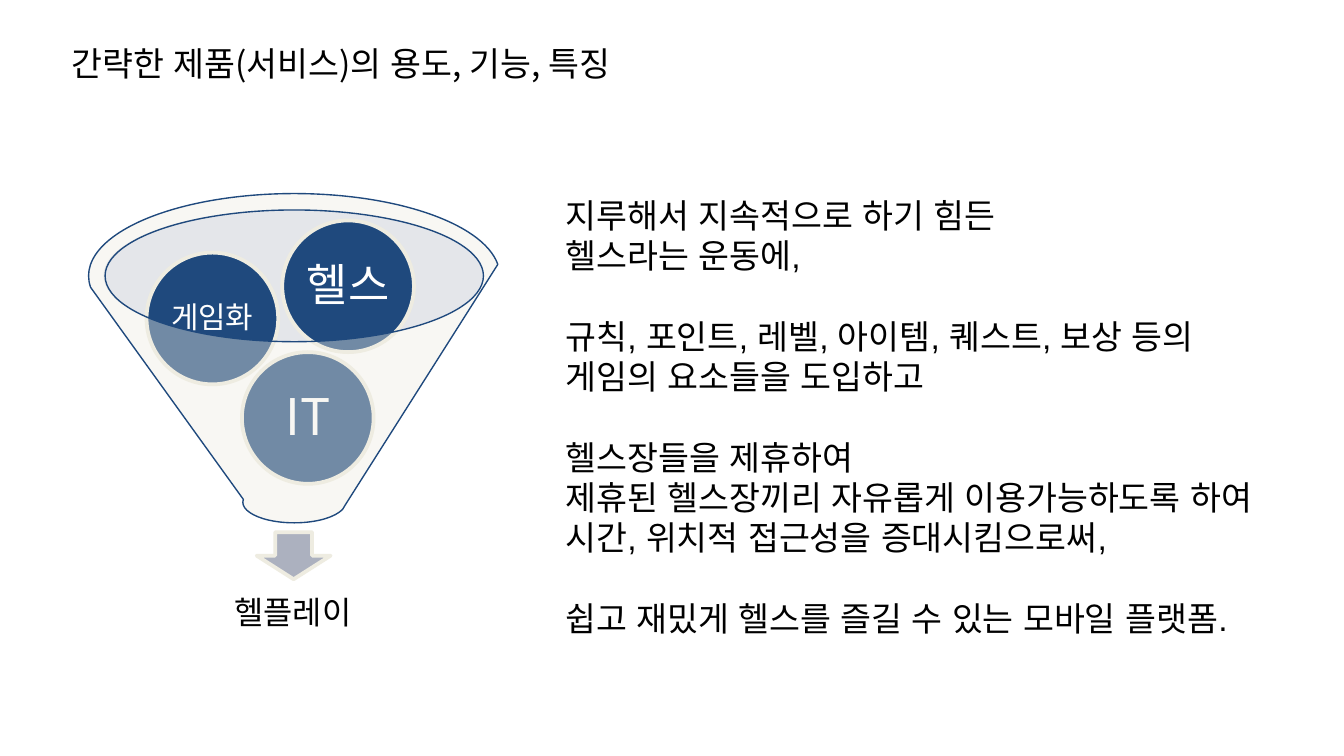
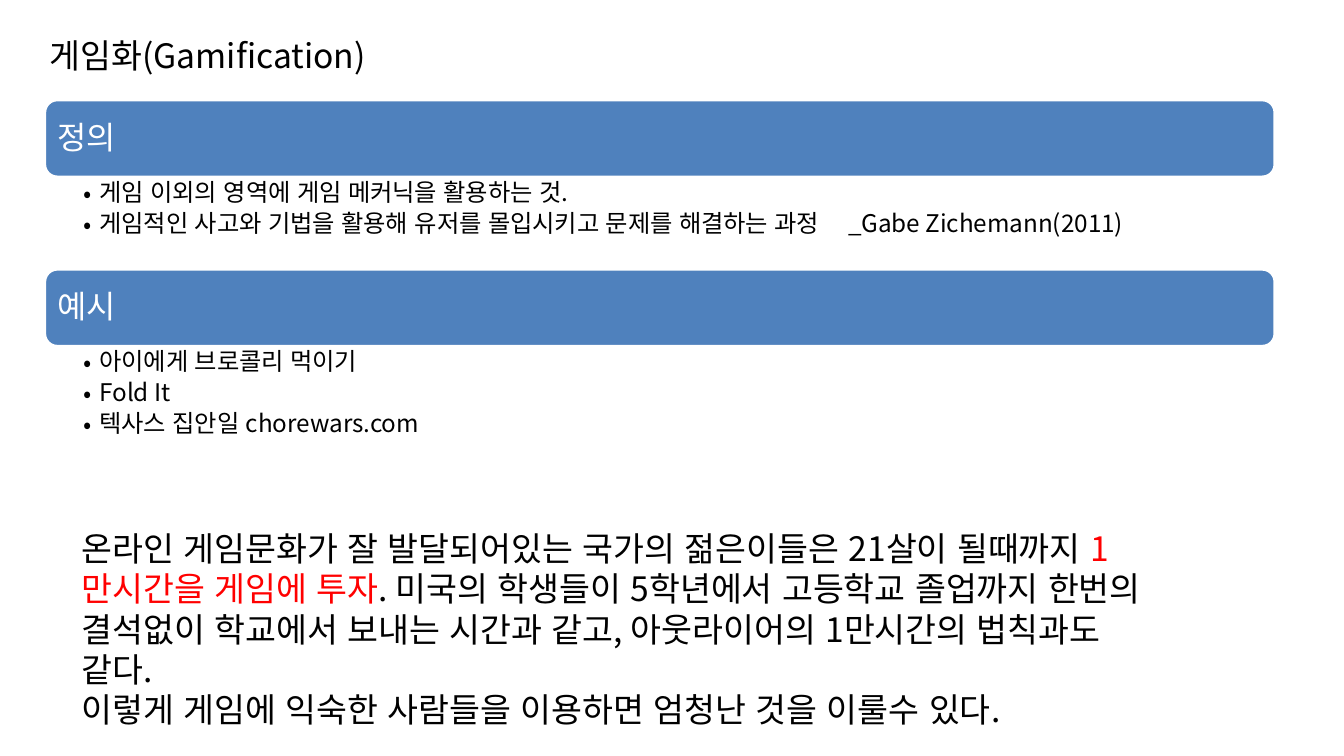
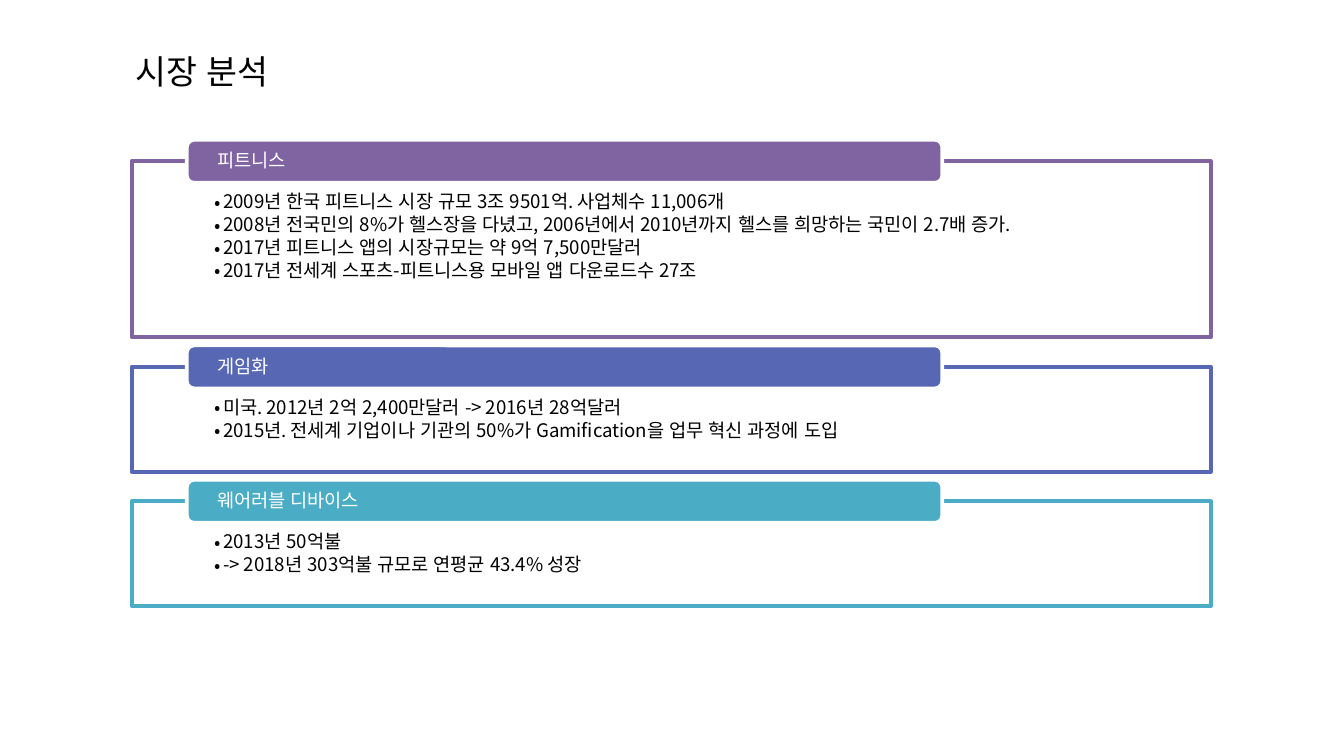
import pptx
import pptx.dml.color
import pptx.enum.shapes
import pptx.enum.text
import pptx.oxml.ns
import pptx.util
from lxml import etree

Inches = pptx.util.Inches
Pt = pptx.util.Pt
SHAPE = pptx.enum.shapes.MSO_SHAPE
ALIGN = pptx.enum.text.PP_ALIGN
ANCHOR = pptx.enum.text.MSO_ANCHOR
qn = pptx.oxml.ns.qn

COLORS = {
    "black": "000000", "white": "FFFFFF", "red": "FF0000",
    "navy": "1F497D", "cream": "EEECE1", "rim": "BDC1CC", "arrow": "ACB1BF",
    "blue": "4F81BD", "purple": "8064A2", "indigo": "5767B4", "teal": "4BACC6",
}
FONT = "Noto Sans CJK KR"
ASIAN_FONT = "Arial"
LINE_HEIGHT = 1.2   # line pitch as a share of the font size
TIGHT = 0.9         # line spacing inside diagrams
BOX_INSETS = (0.1, 0.05, 0.1, 0.05)


def rgb(name):
    return pptx.dml.color.RGBColor.from_string(COLORS[name])


def set_frame(frame, insets, anchor=ANCHOR.TOP):
    frame.word_wrap = True
    frame.auto_size = pptx.enum.text.MSO_AUTO_SIZE.NONE
    frame.vertical_anchor = anchor
    (frame.margin_left, frame.margin_top,
     frame.margin_right, frame.margin_bottom) = map(Inches, insets)


def format_para(para, size, color="black", align=ALIGN.LEFT, font=FONT,
                spacing=1, after=0, before=0):
    """Set line pitch, gaps (shares of the font size) and font."""
    para.alignment = align
    para.line_spacing = Pt(round(size * LINE_HEIGHT * spacing, 2))
    para.space_before = Pt(round(size * before, 2))
    para.space_after = Pt(round(size * after, 2))
    para.font.size = Pt(size)
    para.font.name = font
    para.font.color.rgb = rgb(color)
    defaults = para._p.pPr.find(qn("a:defRPr"))
    etree.SubElement(defaults, qn("a:ea"), typeface=ASIAN_FONT)


def next_para(frame, index):
    return frame.paragraphs[0] if index == 0 else frame.add_paragraph()


def add_bullets(frame, lines, size, indent, after, tab=None):
    for index, line in enumerate(lines):
        para = next_para(frame, index)
        para.text = line
        para.level = 1
        props = para._p.get_or_add_pPr()
        props.set("marL", str(Inches(indent)))
        props.set("indent", str(-Inches(indent)))
        etree.SubElement(props, qn("a:buFont"), typeface=FONT)
        etree.SubElement(props, qn("a:buChar"), char="•")
        if tab and "\t" in line:
            stops = etree.SubElement(props, qn("a:tabLst"))
            etree.SubElement(stops, qn("a:tab"), pos=str(Inches(tab)), algn="l")
        format_para(para, size, spacing=TIGHT, after=after)


def add_shape(page, kind, box, fill, line=None, width=2, opacity=None):
    shape = page.shapes.add_shape(kind, *map(Inches, box))
    shape.shadow.inherit = False
    shape.fill.solid()
    shape.fill.fore_color.rgb = rgb(fill)
    if opacity:
        color = shape._element.spPr.find(qn("a:solidFill"))[0]
        etree.SubElement(color, qn("a:alpha"), val=str(opacity * 1000))
    if line:
        shape.line.color.rgb = rgb(line)
        shape.line.width = Pt(width)
    else:
        shape.line.fill.background()
    return shape


def add_text_box(page, box, insets=BOX_INSETS, anchor=ANCHOR.TOP):
    frame = page.shapes.add_textbox(*map(Inches, box)).text_frame
    set_frame(frame, insets, anchor)
    return frame


def write_label(frame, text, size, **style):
    para = frame.paragraphs[0]
    para.text = text
    format_para(para, size, spacing=TIGHT, **style)


def add_page(deck, title, left, top, width):
    page = deck.slides.add_slide(deck.slide_layouts[5])
    holder = page.shapes.title
    holder.left, holder.top = Inches(left), Inches(top)
    holder.width, holder.height = Inches(width), Inches(0.4)
    set_frame(holder.text_frame, BOX_INSETS)
    holder.text_frame.text = title
    format_para(holder.text_frame.paragraphs[0], 18)
    return page


# Funnel diagram with three balls, an arrow and the result
def add_funnel(page, left, top, balls, result):
    add_shape(page, SHAPE.OVAL, (left + 0.11, top + 0.12, 2.82, 0.98),
              "rim", opacity=40)
    add_shape(page, SHAPE.DOWN_ARROW, (left + 1.25, top + 2.52, 0.55, 0.35),
              "arrow", "cream")
    frame = add_text_box(page, (left + 0.21, top + 2.8, 2.62, 0.66),
                         (0.13,) * 4, ANCHOR.MIDDLE)
    write_label(frame, result, 17, align=ALIGN.CENTER, font="Arial")
    for text, size, across, down in balls:
        ball = add_shape(page, SHAPE.OVAL,
                         (left + across, top + down, 0.98, 0.98), "navy", "cream")
        set_frame(ball.text_frame, (0.02,) * 4, ANCHOR.MIDDLE)
        write_label(ball.text_frame, text, size, color="white",
                    align=ALIGN.CENTER)
    add_shape(page, SHAPE.FUNNEL, (left, top, 3.06, 2.45),
              "cream", "navy", 0.75, opacity=40)


# Groups of lines, one line apart
def add_description(page, box, groups):
    frame = add_text_box(page, box)
    index = 0
    for group in groups:
        for position, line in enumerate(group):
            para = next_para(frame, index)
            para.text = line
            starts_group = index > 0 and position == 0
            format_para(para, 18, font="Arial",
                        before=LINE_HEIGHT if starts_group else 0)
            index += 1


# Header bar with bullets below it
def add_bar_section(page, left, top, width, heading, lines, body_height):
    bar_height = 0.58
    bar = add_shape(page, SHAPE.ROUNDED_RECTANGLE,
                    (left, top, width, bar_height), "blue", "white")
    set_frame(bar.text_frame, (0.07,) * 4, ANCHOR.MIDDLE)
    write_label(bar.text_frame, heading, 17, color="white")
    body = add_text_box(page, (left, top + bar_height, width, body_height),
                        (0.29, 0.02, 0.13, 0.02))
    add_bullets(body, lines, 13, 0.12, 0.2, tab=5.69)
    return top + bar_height + body_height


# Paragraphs made of (text, color) spans
def add_remark(page, box, paragraphs):
    frame = add_text_box(page, box)
    for index, spans in enumerate(paragraphs):
        para = next_para(frame, index)
        format_para(para, 18)
        for text, color in spans:
            span = para.add_run()
            span.text = text
            if color != "black":
                span.font.color.rgb = rgb(color)


# Outlined panel with a tab on its top edge
def add_panel(page, left, top, width, height, color, heading, lines):
    panel = add_shape(page, SHAPE.RECTANGLE, (left, top, width, height),
                      "white", color, opacity=90)
    set_frame(panel.text_frame, (0.62, 0.23, 0.62, 0.08))
    add_bullets(panel.text_frame, lines, 10, 0.06, 0.15)
    tab = add_shape(page, SHAPE.ROUNDED_RECTANGLE,
                    (left + 0.41, top - 0.16, width * 0.7, 0.32), color, "white")
    set_frame(tab.text_frame, (0.21, 0, 0.21, 0), ANCHOR.MIDDLE)
    write_label(tab.text_frame, heading, 10, color="white")


def build_product(deck):
    page = add_page(deck, "간략한 제품(서비스)의 용도, 기능, 특징", 0.43, 0.27, 4.88)
    add_description(page, (4.11, 1.4, 5.89, 3.73), [
        ["지루해서 지속적으로 하기 힘든", "헬스라는 운동에,"],
        ["규칙, 포인트, 레벨, 아이템, 퀘스트, 보상 등의", "게임의 요소들을 도입하고"],
        ["헬스장들을 제휴하여", "제휴된 헬스장끼리 자유롭게 이용가능하도록 하여",
         "시간, 위치적 접근성을 증대시킴으로써,"],
        ["쉽고 재밌게 헬스를 즐길 수 있는 모바일 플랫폼."],
    ])
    balls = [("IT", 27, 1.14, 1.18), ("게임화", 16, 0.43, 0.44),
             ("헬스", 24, 1.44, 0.2)]
    add_funnel(page, 0.66, 1.44, balls, "헬플레이")


def build_gamification(deck):
    page = add_page(deck, "게임화(Gamification)", 0.27, 0.21, 3.39)
    sections = [
        ("정의", 0.68, [
            "게임 이외의 영역에 게임 메커닉을 활용하는 것.",
            "게임적인 사고와 기법을 활용해 유저를 몰입시키고 문제를 해결하는 과정"
            "\t_Gabe Zichemann(2011)"]),
        ("예시", 1.39, [
            "아이에게 브로콜리 먹이기", "Fold It", "텍사스 집안일 chorewars.com"]),
    ]
    top = 0.74
    for heading, body_height, lines in sections:
        top = add_bar_section(page, 0.33, top, 9.16, heading, lines, body_height)
    add_remark(page, (0.51, 3.88, 8.11, 1.61), [
        [("온라인 게임문화가 잘 발달되어있는 국가의 젊은이들은 21살이 될때까지 ", "black"),
         ("1만시간을 게임에 투자", "red"),
         (". 미국의 학생들이 5학년에서 고등학교 졸업까지 한번의 결석없이 학교에서 "
          "보내는 시간과 같고, 아웃라이어의 1만시간의 법칙과도 같다.", "black")],
        [("이렇게 게임에 익숙한 사람들을 이용하면 엄청난 것을 이룰수 있다.", "black")],
    ])


def build_market(deck):
    page = add_page(deck, "시장 분석", 0.91, 0.33, 4.17)
    panels = [
        ("피트니스", "purple", 1.31, [
            "2009년 한국 피트니스 시장 규모 3조 9501억. 사업체수 11,006개",
            "2008년 전국민의 8%가 헬스장을 다녔고, 2006년에서 2010년까지 "
            "헬스를 희망하는 국민이 2.7배 증가.",
            "2017년 피트니스 앱의 시장규모는 약 9억 7,500만달러",
            "2017년 전세계 스포츠-피트니스용 모바일 앱 다운로드수 27조"]),
        ("게임화", "indigo", 0.78, [
            "미국. 2012년 2억 2,400만달러 -> 2016년 28억달러",
            "2015년. 전세계 기업이나 기관의 50%가 Gamification을 업무 혁신 과정에 도입"]),
        ("웨어러블 디바이스", "teal", 0.78, [
            "2013년 50억불", "-> 2018년 303억불 규모로 연평균 43.4% 성장"]),
    ]
    top, gap = 1.2, 0.22
    for heading, color, height, lines in panels:
        add_panel(page, 0.98, top, 8.03, height, color, heading, lines)
        top += height + gap


def main():
    deck = pptx.Presentation()
    # Widescreen, 16 to 9
    deck.slide_width = Inches(10)
    deck.slide_height = Inches(10 * 9 / 16)
    build_product(deck)
    build_gamification(deck)
    build_market(deck)
    deck.save("out.pptx")


if __name__ == "__main__":
    main()
